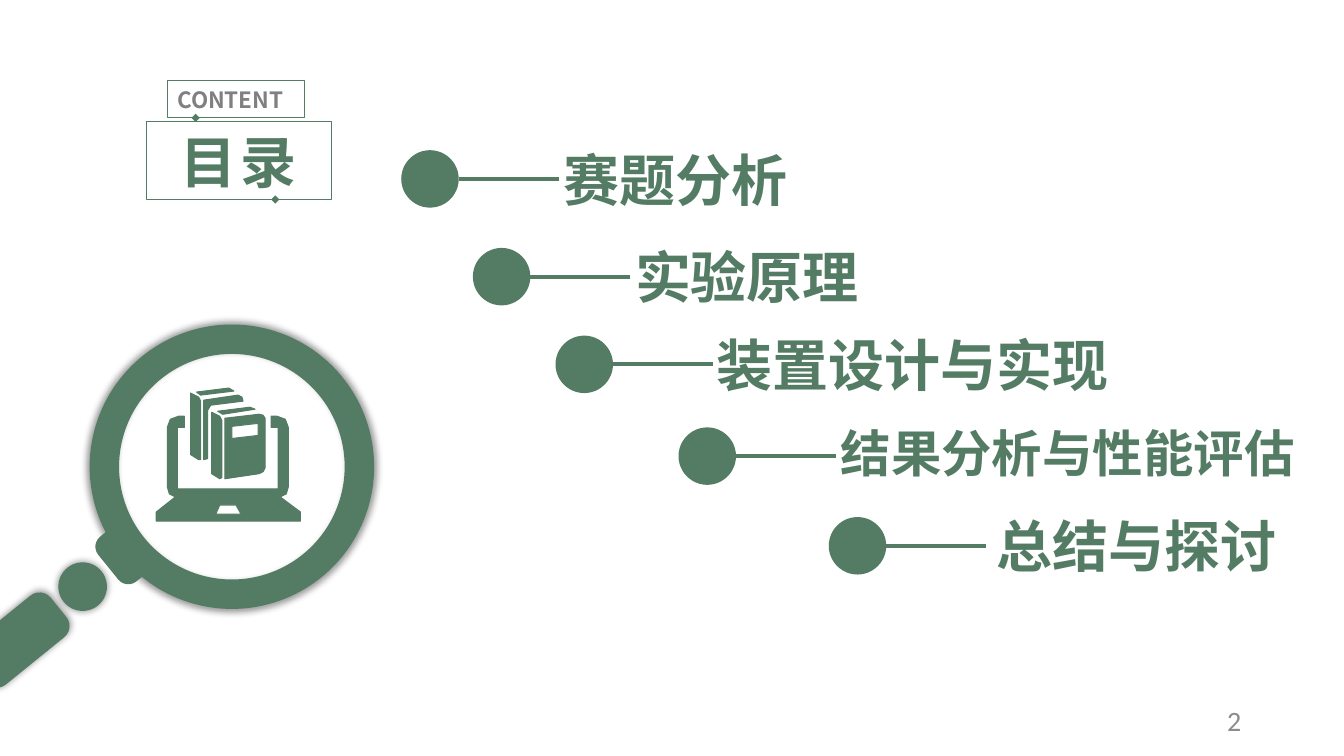
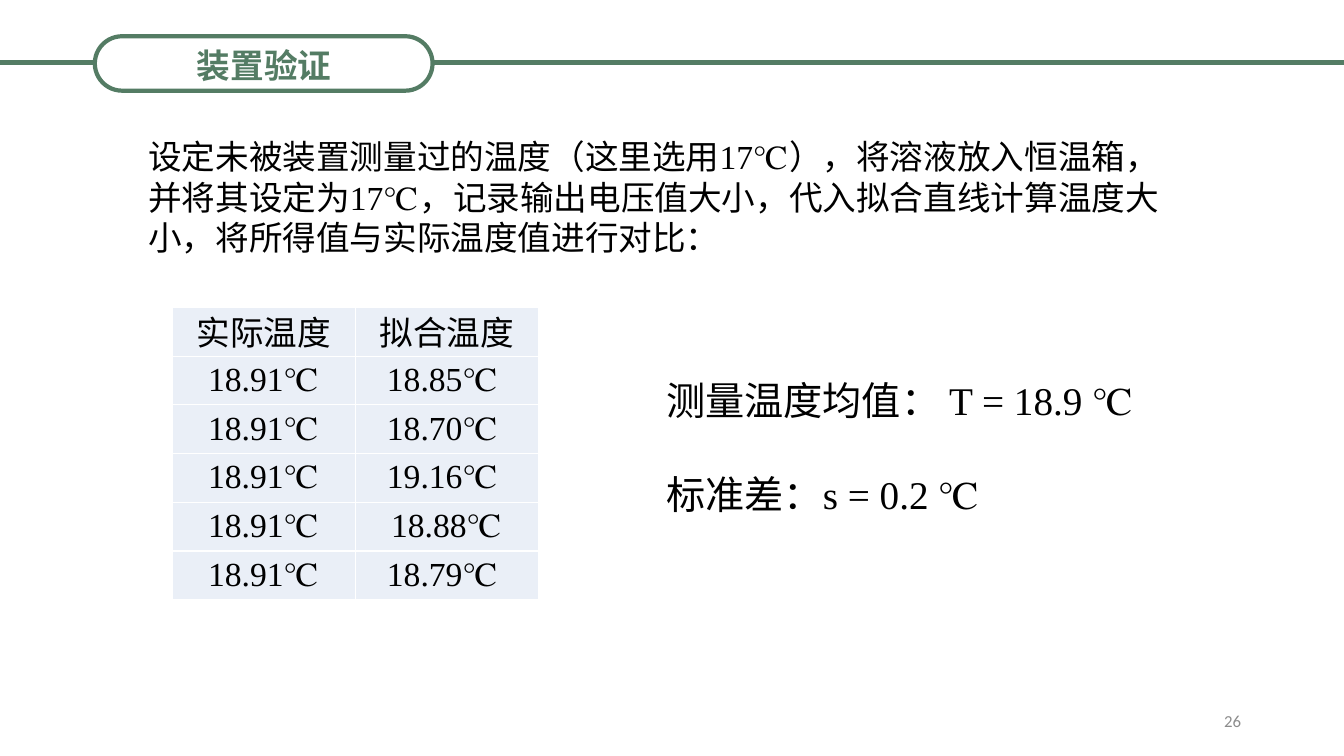
"""Build the contents slide and the device verification slide."""
from lxml import etree
from pptx import Presentation
from pptx.dml.color import RGBColor
from pptx.enum.dml import MSO_LINE
from pptx.enum.shapes import MSO_CONNECTOR, MSO_SHAPE
from pptx.enum.text import MSO_ANCHOR, MSO_AUTO_SIZE, PP_ALIGN
from pptx.oxml.ns import qn
from pptx.util import Inches, Pt

LEFT, CENTER, RIGHT = PP_ALIGN.LEFT, PP_ALIGN.CENTER, PP_ALIGN.RIGHT
TOP, MIDDLE = MSO_ANCHOR.TOP, MSO_ANCHOR.MIDDLE
OVAL, DONUT = MSO_SHAPE.OVAL, MSO_SHAPE.DONUT
RECTANGLE, ROUNDED = MSO_SHAPE.RECTANGLE, MSO_SHAPE.ROUNDED_RECTANGLE
STRAIGHT, DASH = MSO_CONNECTOR.STRAIGHT, MSO_LINE.DASH

COLORS = {"green": "547C64", "gray": "808080", "number": "8C8C8C",
          "black": "000000", "cell": "EAEFF7", "white": "FFFFFF"}
RGB = {name: RGBColor.from_string(value) for name, value in COLORS.items()}
CJK, SERIF, SANS = "Noto Sans CJK SC", "Times New Roman", "Calibri"

GRID = Inches(0.01)
COLUMNS, ROWS = 1333, 750

HEADING = {"name": CJK, "bold": True, "color": "green"}
READING = {"name": SERIF, "bold": False, "color": "black"}
NUMBER = {"name": SANS, "bold": False, "color": "number"}


def paint(shape, fill, line, width):
    """Give a shape its fill and outline, without a shadow."""
    if fill:
        shape.fill.solid()
        shape.fill.fore_color.rgb = RGB[fill]
    else:
        shape.fill.background()
    if line:
        shape.line.color.rgb = RGB[line]
        shape.line.width = Pt(width)
    else:
        shape.line.fill.background()
    shape.shadow.inherit = False


def write(frame, lines, look, size, align=LEFT, anchor=MIDDLE, leading=None, gap=0):
    """Fill a text frame with evenly formatted paragraphs."""
    settings = {"word_wrap": True, "auto_size": MSO_AUTO_SIZE.NONE, "vertical_anchor": anchor}
    for name, value in settings.items():
        setattr(frame, name, value)
    for index, line in enumerate(lines):
        paragraph = frame.paragraphs[0] if index == 0 else frame.add_paragraph()
        properties = paragraph._p.get_or_add_pPr()
        properties.set("marL", "0")
        properties.set("indent", "0")
        etree.SubElement(properties, qn("a:buNone"))
        paragraph.alignment = align
        paragraph.space_before = Pt(gap if index else 0)
        if leading:
            paragraph.line_spacing = Pt(leading)
        run = paragraph.add_run()
        run.text = line
        for name, value in {"name": look["name"], "bold": look["bold"], "size": Pt(size)}.items():
            setattr(run.font, name, value)
        run.font.color.rgb = RGB[look["color"]]
        etree.SubElement(run._r.get_or_add_rPr(), qn("a:ea"), typeface=CJK)


deck = Presentation()
deck.slide_width, deck.slide_height = COLUMNS * GRID, ROWS * GRID
contents = deck.slides.add_slide(deck.slide_layouts[5])
verification = deck.slides.add_slide(deck.slide_layouts[1])

rules = [
    (contents, 296, 259, 117, 0.6, False),
    (contents, 254, 194, 117, 0.6, True),
    (contents, 187, 171, 117, 0.6, False),
    (contents, 171, 208, 198, 0.6, False),
    (contents, 214, 273, 198, 0.6, True),
    (contents, 281, 296, 198, 0.6, False),
    (verification, 0, 94, 62, 3, False),
    (verification, 430, COLUMNS, 62, 3, False),
]

label = contents.shapes.add_shape(RECTANGLE, *[n * GRID for n in (166, 80, 136, 37)])
paint(label, None, "green", 0.75)
write(label.text_frame, ["CONTENT"], {**HEADING, "color": "gray"}, 16)
paint(contents.shapes.title, None, "green", 0.75)

magnifier = [
    (ROUNDED, 18, 635, 99, 49, -39, 0.25, True),
    (OVAL, 82, 582, 44, 44, 0, None, True),
    (DONUT, 230, 463, 278, 278, 0, 0.09, True),
    (ROUNDED, 123, 550, 36, 53, -39, 0.3, False),
]
for kind, center_x, center_y, width, height, angle, roundness, shaded in magnifier:
    box = (center_x - width / 2, center_y - height / 2, width, height)
    part = contents.shapes.add_shape(kind, *[int(n * GRID) for n in box])
    part.rotation = angle
    if roundness:
        part.adjustments[0] = roundness
    paint(part, "green", "green", 3)
    if shaded:
        effects = part._element.spPr.find(qn("a:effectLst"))
        glow = etree.SubElement(effects, qn("a:outerShdw"), blurRad=str(Pt(5)), dist="0",
                                sx="102000", sy="102000", algn="ctr")
        tint = etree.SubElement(glow, qn("a:srgbClr"), val=COLORS["black"])
        etree.SubElement(tint, qn("a:alpha"), val="40000")

laptop_and_books = [
    ("green", [(176, 424), (183, 424), (183, 413), (177, 413), (169, 416), (166, 424),
               (166, 483), (168, 490), (174, 493), (155, 508), (155, 517), (298, 517),
               (298, 508), (278, 493), (284, 490), (286, 483), (286, 424), (283, 416),
               (275, 413), (269, 413), (269, 424), (276, 424), (276, 485), (176, 485)]),
    ("white", [(218, 501), (234, 501), (239, 510), (214, 510)]),
    ("green", [(195, 389), (227, 385), (232, 388), (199, 392)]),
    ("green", [(189, 390), (197, 394), (199, 398), (199, 456), (197, 456), (189, 451)]),
    ("green", [(202, 397), (236, 392), (240, 394), (241, 398), (209, 402), (206, 407),
               (206, 455), (202, 456)]),
    ("green", [(216, 408), (248, 404), (253, 406), (221, 411)]),
    ("green", [(210, 409), (218, 413), (220, 417), (220, 474), (218, 475), (210, 470)]),
    ("green", [(223, 415), (257, 411), (261, 412), (263, 415), (263, 464), (261, 468),
               (257, 470), (223, 475)]),
    ("white", [(230, 423), (256, 420), (256, 432), (230, 435)]),
]
for fill, corners in laptop_and_books:
    outline = contents.shapes.build_freeform(*corners[0], scale=GRID)
    outline.add_line_segments(corners[1:], close=True)
    paint(outline.convert_to_shape(), fill, "green", 0.75)

DOT = 57
chapters = [
    ("赛题分析", 398, 149, 549, 133, 40),
    ("实验原理", 469, 246, 620, 229, 40),
    ("装置设计与实现", 551, 333, 701, 316, 40),
    ("结果分析与性能评估", 673, 424, 824, 404, 36),
    ("总结与探讨", 822, 513, 979, 496, 40),
]
for chapter, left, top, text_left, text_top, size in chapters:
    dot = contents.shapes.add_shape(OVAL, *[n * GRID for n in (left, top, DOT, DOT)])
    paint(dot, "green", None, 0)
    rules.append((contents, left + DOT, left + DOT + 99, top + DOT / 2, 3, False))
    box = (text_left, text_top, COLUMNS - text_left, 90)
    entry = contents.shapes.add_textbox(*[n * GRID for n in box])
    write(entry.text_frame, [chapter], HEADING, size)

capsule = verification.shapes.add_shape(ROUNDED, *[n * GRID for n in (94, 36, 335, 54)])
capsule.adjustments[0] = 0.5
paint(capsule, None, "green", 3)

for slide, heading, box, size, spacing, page, page_size in [
    (contents, "目录", (145, 121, 184, 77), 40, 3, "2", 20),
    (verification, "装置验证", (81, 40, 362, 50), 24, 0, "26", 12),
]:
    title = slide.shapes.title
    for side, value in zip(("left", "top", "width", "height"), box):
        setattr(title, side, value * GRID)
    title.text_frame.margin_top = title.text_frame.margin_bottom = 0
    write(title.text_frame, [heading], HEADING, size, CENTER)
    title.text_frame.paragraphs[0].runs[0]._r.rPr.set("spc", str(spacing * 100))
    number = slide.shapes.add_textbox(*[n * GRID for n in (941, 695, 300, 40)])
    write(number.text_frame, [page], NUMBER, page_size, RIGHT)

for slide, start, end, height, width, marked in rules:
    rule = slide.shapes.add_connector(
        STRAIGHT, *[int(n * GRID) for n in (start, height, end, height)])
    rule.line.color.rgb = RGB["green"]
    rule.line.width = Pt(width)
    if marked:
        rule.line.dash_style = DASH
        etree.SubElement(rule.line._get_or_add_ln(), qn("a:tailEnd"), type="diamond")
    etree.SubElement(rule._element.spPr, qn("a:effectLst"))

method = verification.placeholders[1]
for side, value in zip(("left", "top", "width", "height"), (137, 130, 1028, 131)):
    setattr(method, side, value * GRID)
write(method.text_frame, [
    "设定未被装置测量过的温度（这里选用17℃），将溶液放入恒温箱，并将其设定为17℃，"
    "记录输出电压值大小，代入拟合直线计算温度大小，将所得值与实际温度值进行对比："],
    READING, 24, anchor=TOP, leading=28.8)

readings = [("实际温度", "拟合温度")]
readings += [("18.91℃", fitted)
             for fitted in ("18.85℃ ", "18.70℃ ", "19.16℃ ", "18.88℃", "18.79℃ ")]
table = verification.shapes.add_table(
    len(readings), 2, *[n * GRID for n in (171, 305, 363, 290)]).table
table.first_row = table.horz_banding = False
for row, values in enumerate(readings):
    look, leading = (READING, 26) if row else ({**READING, "name": SANS}, 33)
    for column, value in enumerate(values):
        cell = table.cell(row, column)
        cell.fill.solid()
        cell.fill.fore_color.rgb = RGB["cell"]
        for side in ("left", "right", "top", "bottom"):
            setattr(cell, f"margin_{side}", GRID)
        cell.vertical_anchor = MIDDLE
        write(cell.text_frame, [value], look, 24, CENTER, leading=leading)

summary = verification.shapes.add_textbox(*[n * GRID for n in (651, 368, 536, 147)])
write(summary.text_frame, ["测量温度均值： T = 18.9 ℃", "标准差：s = 0.2 ℃"],
      READING, 28, anchor=TOP, leading=34, gap=33)

deck.save("out.pptx")
